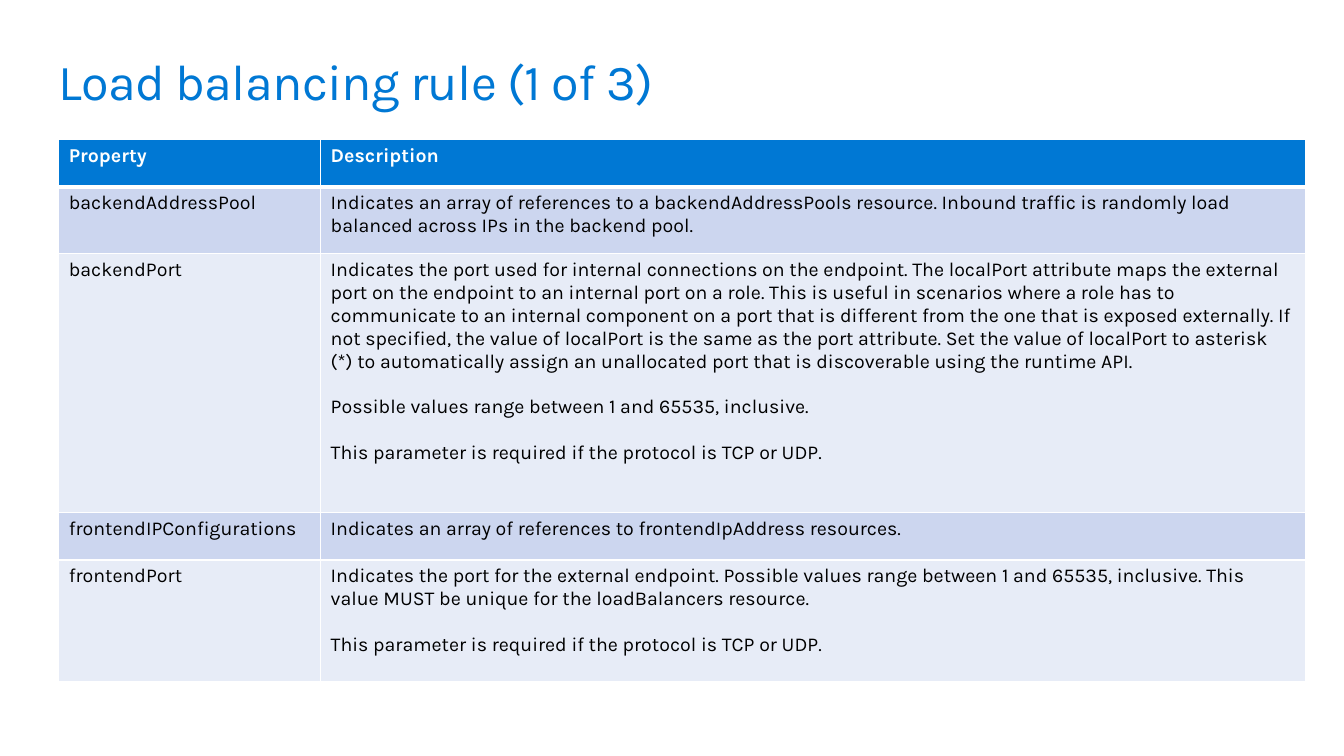
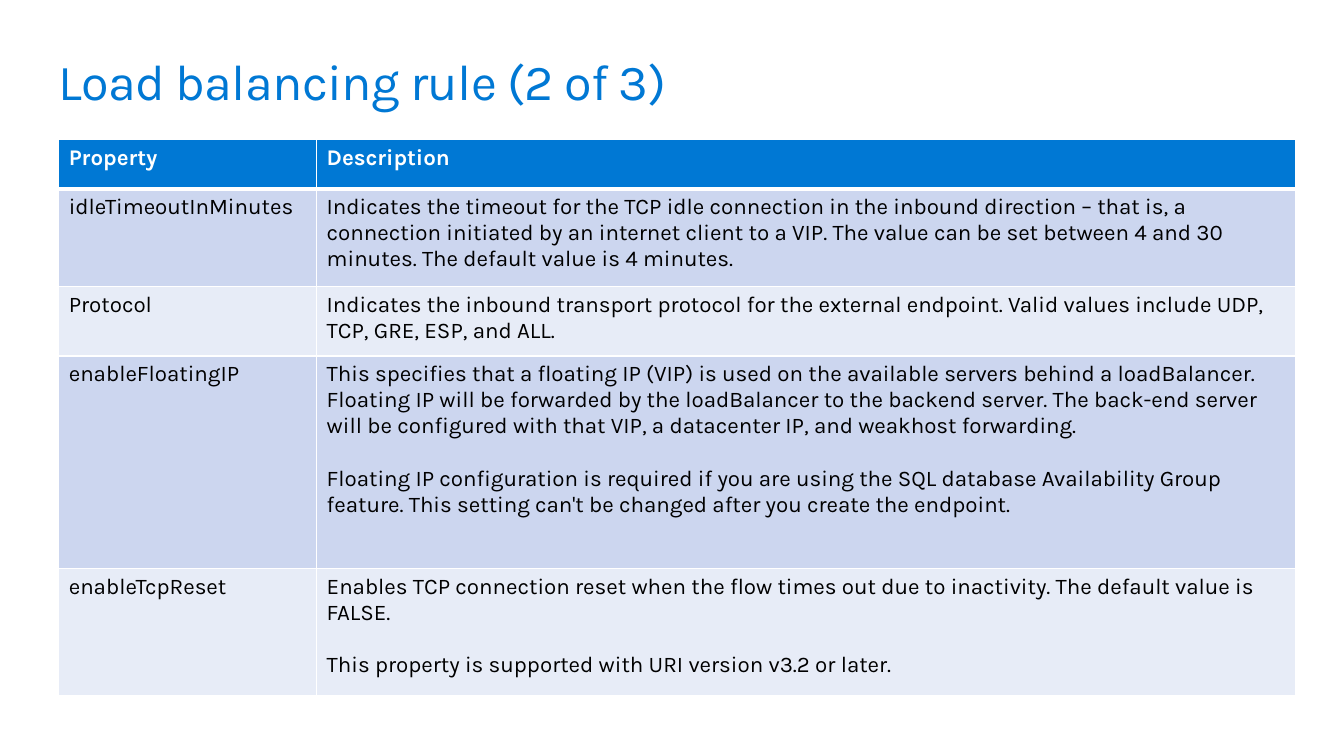
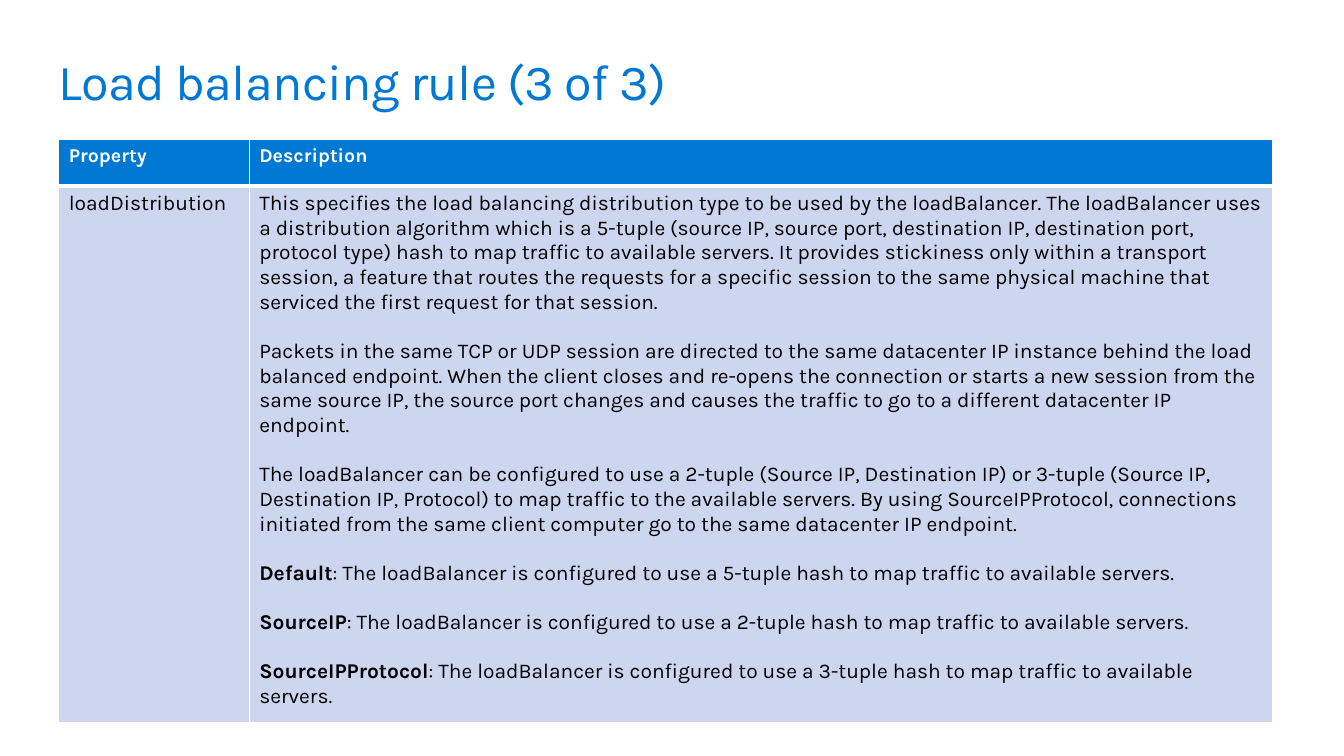
from dataclasses import dataclass

from lxml.etree import SubElement
from pptx import Presentation
from pptx.dml.color import RGBColor
from pptx.oxml.ns import qn
from pptx.util import Cm, Pt


@dataclass(frozen=True)
class Theme:
    font: str = "Karla"
    blue: RGBColor = RGBColor(0x00, 0x78, 0xD4)
    white: RGBColor = RGBColor(0xFF, 0xFF, 0xFF)
    black: RGBColor = RGBColor(0x00, 0x00, 0x00)
    bands: tuple = (RGBColor(0xE7, 0xEC, 0xF7), RGBColor(0xCC, 0xD6, 0xEF))
    title_size: int = 36
    title_spacing: int = -50
    line_height: float = 1.17
    thin_border: int = 1
    thick_border: int = 3
    left: float = 1.48
    title_top: float = 1.27
    table_top: float = 3.52


theme = Theme()


def add_run(paragraph, text, size, color, bold=False):
    run = paragraph.add_run()
    run.text = text
    run.font.name = theme.font
    run.font.size = Pt(size)
    run.font.color.rgb = color
    run.font.bold = bold
    return run


def add_borders(cell, top, bottom):
    properties = cell._tc.get_or_add_tcPr()
    widths = {"L": theme.thin_border, "R": theme.thin_border, "T": top, "B": bottom}
    for side, width in widths.items():
        line = SubElement(properties, qn(f"a:ln{side}"), w=str(Pt(width)))
        fill = SubElement(line, qn("a:solidFill"))
        SubElement(fill, qn("a:srgbClr"), val=str(theme.white))


tcp_or_udp = "This parameter is required if the protocol is TCP or UDP."
hash_modes = [("Default", 5), ("SourceIP", 2), ("SourceIPProtocol", 3)]

pages = [
    {
        "header_size": 14,
        "body_size": 14,
        "columns": [6.6, 24.82],
        "header_height": 1.19,
        "rows": [
            (1.68, "backendAddressPool", [
                "Indicates an array of references to a backendAddressPools resource. "
                "Inbound traffic is randomly load balanced across IPs in the backend pool.",
            ]),
            (6.53, "backendPort", [
                "Indicates the port used for internal connections on the endpoint. "
                "The localPort attribute maps the external port on the endpoint to an "
                "internal port on a role. This is useful in scenarios where a role has to "
                "communicate to an internal component on a port that is different from the "
                "one that is exposed externally. If not specified, the value of localPort "
                "is the same as the port attribute. Set the value of localPort to asterisk "
                "(*) to automatically assign an unallocated port that is discoverable "
                "using the runtime API.",
                "Possible values range between 1 and 65535, inclusive.",
                tcp_or_udp,
            ]),
            (1.19, "frontendIPConfigurations", [
                "Indicates an array of references to frontendIpAddress resources.",
            ]),
            (3.07, "frontendPort", [
                "Indicates the port for the external endpoint. Possible values range "
                "between 1 and 65535, inclusive. This value MUST be unique for the "
                "loadBalancers resource.",
                tcp_or_udp,
            ]),
        ],
    },
    {
        "header_size": 16,
        "body_size": 16,
        "columns": [6.5, 24.66],
        "header_height": 1.24,
        "rows": [
            (2.46, "idleTimeoutInMinutes", [
                "Indicates the timeout for the TCP idle connection in the inbound "
                "direction – that is, a connection initiated by an internet client to a "
                "VIP. The value can be set between 4 and 30 minutes. The default value is "
                "4 minutes.",
            ]),
            (1.75, "Protocol", [
                "Indicates the inbound transport protocol for the external endpoint. "
                "Valid values include UDP, TCP, GRE, ESP, and ALL.",
            ]),
            (5.36, "enableFloatingIP", [
                "This specifies that a floating IP (VIP) is used on the available servers "
                "behind a loadBalancer. Floating IP will be forwarded by the loadBalancer "
                "to the backend server. The back-end server will be configured with that "
                "VIP, a datacenter IP, and weakhost forwarding.",
                "Floating IP configuration is required if you are using the SQL database "
                "Availability Group feature. This setting can't be changed after you "
                "create the endpoint.",
            ]),
            (3.2, "enableTcpReset", [
                "Enables TCP connection reset when the flow times out due to inactivity. "
                "The default value is FALSE.",
                "This property is supported with URI version v3.2 or later.",
            ]),
        ],
    },
    {
        "header_size": 14,
        "body_size": 15,
        "columns": [4.8, 25.78],
        "header_height": 1.17,
        "rows": [
            (13.06, "loadDistribution", [
                "This specifies the load balancing distribution type to be used by the "
                "loadBalancer. The loadBalancer uses a distribution algorithm which is a "
                "5-tuple (source IP, source port, destination IP, destination port, "
                "protocol type) hash to map traffic to available servers. It provides "
                "stickiness only within a transport session, a feature that routes the "
                "requests for a specific session to the same physical machine that "
                "serviced the first request for that session.",
                "Packets in the same TCP or UDP session are directed to the same "
                "datacenter IP instance behind the load balanced endpoint. When the client "
                "closes and re-opens the connection or starts a new session from the same "
                "source IP, the source port changes and causes the traffic to go to a "
                "different datacenter IP endpoint.",
                "The loadBalancer can be configured to use a 2-tuple (Source IP, "
                "Destination IP) or 3-tuple (Source IP, Destination IP, Protocol) to map "
                "traffic to the available servers. By using SourceIPProtocol, connections "
                "initiated from the same client computer go to the same datacenter IP "
                "endpoint.",
                *[
                    f"{mode}|: The loadBalancer is configured to use a {count}-tuple hash "
                    "to map traffic to available servers."
                    for mode, count in hash_modes
                ],
            ]),
        ],
    },
]

presentation = Presentation()
presentation.slide_width = Cm(33.87)
presentation.slide_height = Cm(19.05)

for number, page in enumerate(pages, start=1):
    slide = presentation.slides.add_slide(presentation.slide_layouts[6])

    title = slide.shapes.add_textbox(
        Cm(theme.left), Cm(theme.title_top), Cm(23.5), Cm(1.55)
    )
    frame = title.text_frame
    frame.word_wrap = True
    frame.margin_left = frame.margin_right = frame.margin_top = frame.margin_bottom = 0
    title_run = add_run(
        frame.paragraphs[0],
        f"Load balancing rule ({number} of {len(pages)})",
        theme.title_size,
        theme.blue,
    )
    title_run._r.get_or_add_rPr().set("spc", str(theme.title_spacing))

    rows = [(page["header_height"], "Property", ["Description"]), *page["rows"]]
    table = slide.shapes.add_table(
        len(rows),
        len(page["columns"]),
        Cm(theme.left),
        Cm(theme.table_top),
        Cm(sum(page["columns"])),
        Cm(sum(row[0] for row in rows)),
    ).table
    for column, width in zip(table.columns, page["columns"]):
        column.width = Cm(width)

    for row_index, (height, name, description) in enumerate(rows):
        table.rows[row_index].height = Cm(height)
        header = row_index == 0
        size = page["header_size"] if header else page["body_size"]
        text_color = theme.white if header else theme.black
        top = theme.thick_border if row_index == 1 else theme.thin_border
        bottom = theme.thick_border if header else theme.thin_border

        for column_index, texts in enumerate([[name], description]):
            cell = table.cell(row_index, column_index)
            add_borders(cell, top, bottom)
            cell.fill.solid()
            cell.fill.fore_color.rgb = theme.blue if header else theme.bands[row_index % 2]

            for text_index, text in enumerate(texts):
                if text_index == 0:
                    paragraph = cell.text_frame.paragraphs[0]
                else:
                    paragraph = cell.text_frame.add_paragraph()
                    paragraph.space_before = Pt(size * theme.line_height)
                lead, _, body = text.rpartition("|")
                if lead:
                    add_run(paragraph, lead, size, text_color, bold=True)
                add_run(paragraph, body, size, text_color, bold=header)

presentation.save("out.pptx")
